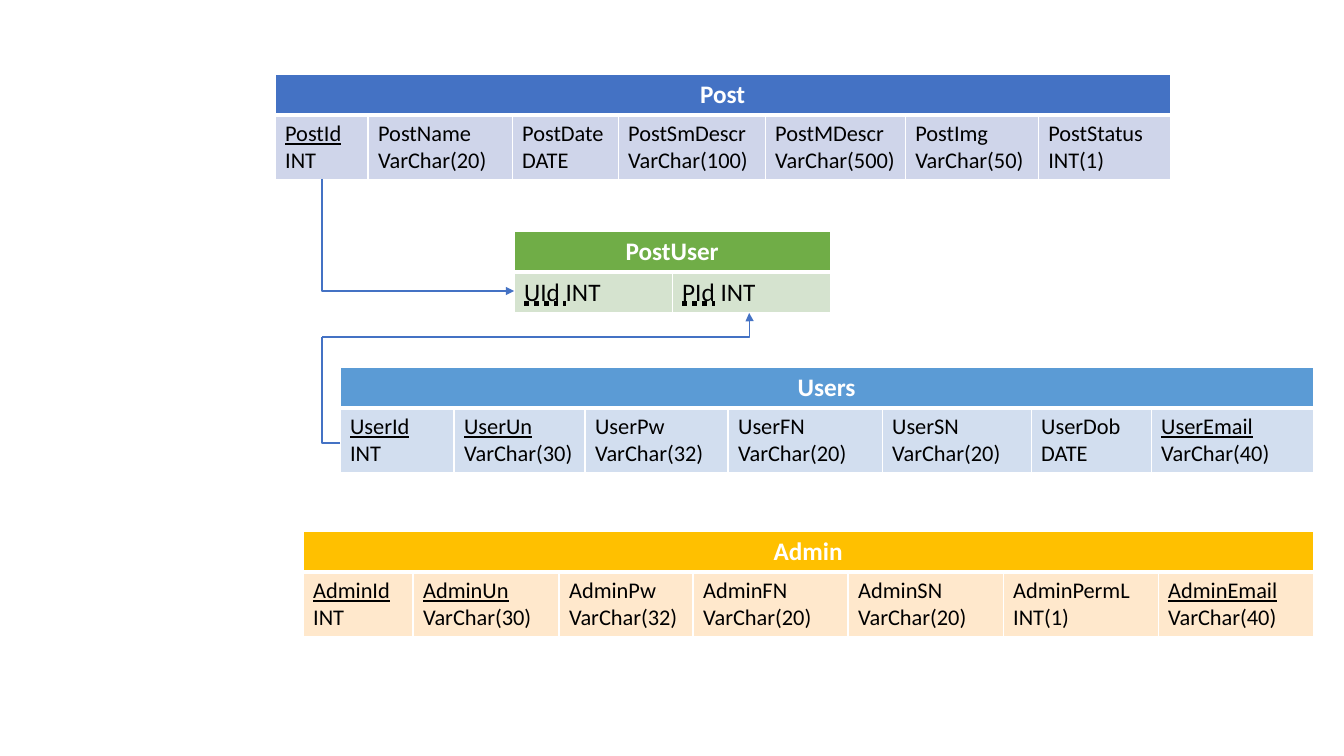
from lxml import etree
from pptx import Presentation
from pptx.dml.color import RGBColor
from pptx.enum.shapes import MSO_CONNECTOR
from pptx.enum.text import MSO_UNDERLINE, PP_ALIGN
from pptx.oxml.ns import qn
from pptx.util import Inches, Pt

ELBOW = MSO_CONNECTOR.ELBOW
CENTER, LEFT = PP_ALIGN.CENTER, PP_ALIGN.LEFT
DOTTED = MSO_UNDERLINE.DOTTED_HEAVY_LINE
KEY, PLAIN = True, False

COLORS = {
    "white": "FFFFFF", "black": "000000", "arrow": "4472C4",
    "post": "4472C4", "post light": "CFD5EA",
    "link": "70AD47", "link light": "D5E3CF",
    "users": "5B9BD5", "users light": "D2DEEF",
    "admin": "FFC000", "admin light": "FFE8CC",
}
HEADER_HEIGHT = 41

TABLES = [
    {"title": "Post", "color": "post", "left": 275, "top": 74, "height": 64, "size": 16,
     "widths": [93, 144, 106, 147, 140, 133, 132],
     "fields": [("PostId", " INT", KEY), ("PostName", " VarChar(20)", PLAIN),
                ("PostDate", " DATE", PLAIN), ("PostSmDescr", " VarChar(100)", PLAIN),
                ("PostMDescr", " VarChar(500)", PLAIN), ("PostImg", " VarChar(50)", PLAIN),
                ("PostStatus", "\nINT(1)", PLAIN)]},
    {"title": "PostUser", "color": "link", "left": 514, "top": 231, "height": 41, "size": 18,
     "widths": [158, 158],
     "fields": [("UId ", "INT", DOTTED), ("PId", " INT", DOTTED)]},
    {"title": "Users", "color": "users", "left": 340, "top": 367, "height": 64, "size": 16,
     "widths": [114, 131, 143, 154, 149, 120, 162],
     "fields": [("UserId", " INT", KEY), ("UserUn", " VarChar(30)", KEY),
                ("UserPw", " VarChar(32)", PLAIN), ("UserFN", "\nVarChar(20)", PLAIN),
                ("UserSN", "\nVarChar(20)", PLAIN), ("UserDob", " DATE", PLAIN),
                ("UserEmail", "\nVarChar(40)", KEY)]},
    {"title": "Admin", "color": "admin", "left": 303, "top": 531, "height": 64, "size": 16,
     "widths": [110, 146, 134, 155, 155, 155, 155],
     "fields": [("AdminId", " INT", KEY), ("AdminUn", " VarChar(30)", KEY),
                ("AdminPw", " VarChar(32)", PLAIN), ("AdminFN", "\nVarChar(20)", PLAIN),
                ("AdminSN", "\nVarChar(20)", PLAIN), ("AdminPermL", "\nINT(1)", PLAIN),
                ("AdminEmail", "\nVarChar(40)", KEY)]},
]

# start, end, position of the bend in thousandths of a percent, arrowhead
LINKS = [
    ((322, 179), (514, 291), 0, True),
    ((340, 443), (322, 337), 100000, False),
    ((322, 337), (749, 313), 100100, True),
]


def px(length):
    return Inches(length / 100.8)


def rgb(name):
    return RGBColor.from_string(COLORS[name])


def write(para, text, size=16, color="black", bold=False, underline=False, align=LEFT):
    para.alignment = align
    span = para.add_run()
    span.text = text
    font = span.font
    font.name, font.size, font.bold = "Calibri", Pt(size), bold
    font.underline = underline
    font.color.rgb = rgb(color)


def paint(cell, fill, **borders):
    cell.fill.solid()
    cell.fill.fore_color.rgb = rgb(fill)
    properties = cell._tc.get_or_add_tcPr()
    for place, side in enumerate("LRTB"):
        line = etree.Element(qn("a:ln" + side), w=str(Pt(borders.get(side, 1))))
        solid = etree.SubElement(line, qn("a:solidFill"))
        etree.SubElement(solid, qn("a:srgbClr"), val=COLORS["white"])
        properties.insert(place, line)


def draw_table(page, entity):
    widths, color = entity["widths"], entity["color"]
    heights = [HEADER_HEIGHT, entity["height"]]
    table = page.shapes.add_table(
        2, len(widths), px(entity["left"]), px(entity["top"]),
        px(sum(widths)), px(sum(heights))).table
    for row, height in zip(table.rows, heights):
        row.height = px(height)
    for index, (width, field) in enumerate(zip(widths, entity["fields"])):
        table.columns[index].width = px(width)
        paint(table.cell(0, index), color, B=3)
        cell = table.cell(1, index)
        paint(cell, color + " light", T=3)
        name, kind, underline = field
        para = cell.text_frame.paragraphs[0]
        write(para, name, size=entity["size"], underline=underline)
        if kind.startswith("\n"):
            para = cell.text_frame.add_paragraph()
        write(para, kind.lstrip("\n"), size=entity["size"])
    header = table.cell(0, 0)
    header.merge(table.cell(0, len(widths) - 1))
    write(header.text_frame.paragraphs[0], entity["title"],
          size=18, color="white", bold=True, align=CENTER)


def draw_link(page, start, end, bend, arrow):
    link = page.shapes.add_connector(ELBOW, *map(px, start + end))
    link.line.color.rgb = rgb("arrow")
    link.line.width = Pt(1)
    if arrow:
        etree.SubElement(link.get_or_add_ln(), qn("a:tailEnd"), type="triangle")
    properties = link._element.spPr
    etree.SubElement(properties, qn("a:effectLst"))
    guides = properties.find(qn("a:prstGeom")).find(qn("a:avLst"))
    etree.SubElement(guides, qn("a:gd"), name="adj1", fmla=f"val {bend}")


deck = Presentation()
deck.slide_width, deck.slide_height = Inches(13.33), Inches(7.5)
page = deck.slides.add_slide(deck.slide_layouts[6])
for entity in TABLES:
    draw_table(page, entity)
for link in LINKS:
    draw_link(page, *link)
deck.save("out.pptx")
